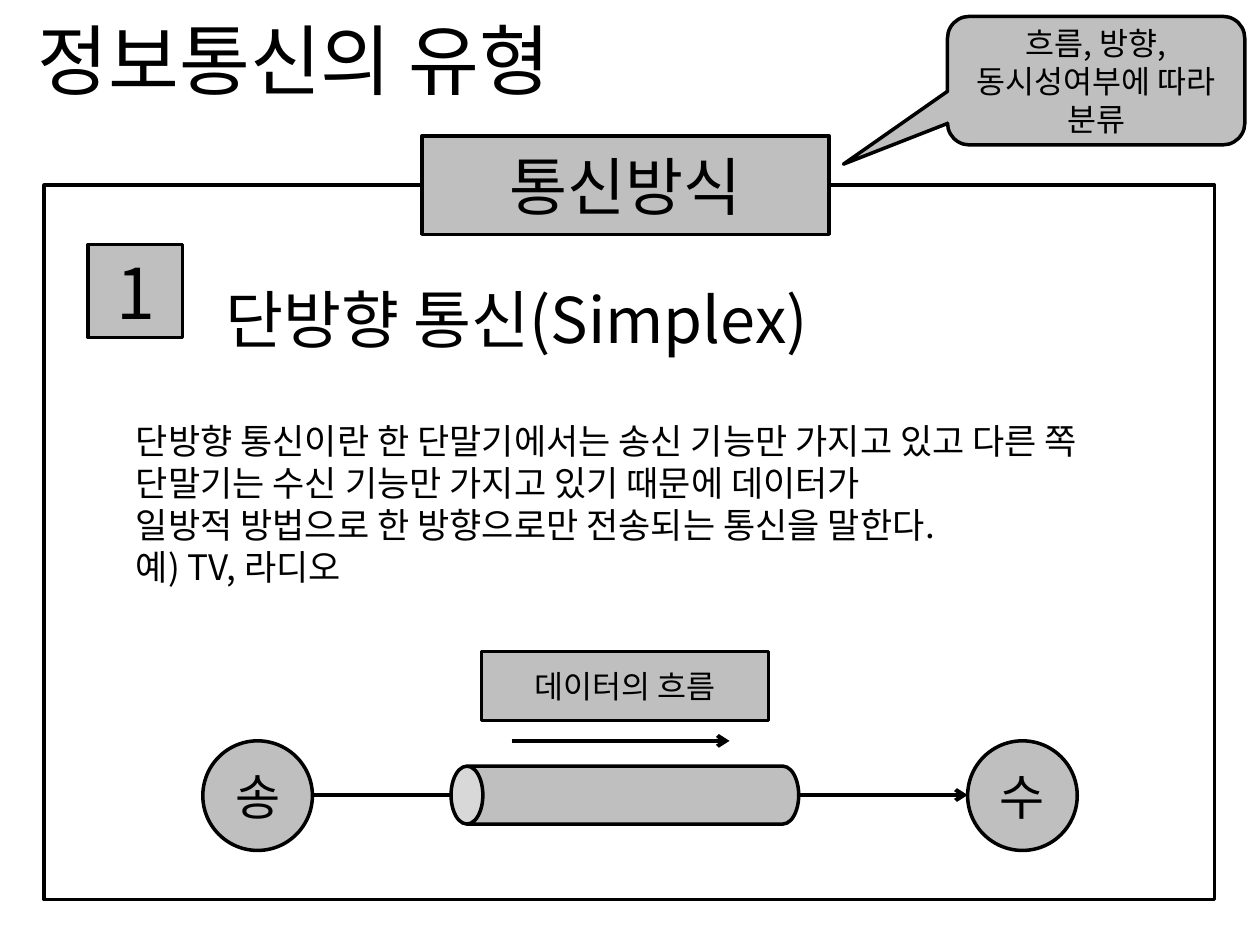
"""Build a slide on simplex communication with a data-flow diagram."""
from typing import NamedTuple

from lxml.etree import SubElement
from pptx import Presentation
from pptx.dml.color import RGBColor
from pptx.enum.shapes import MSO_CONNECTOR, MSO_SHAPE
from pptx.enum.text import MSO_ANCHOR, PP_ALIGN
from pptx.oxml.ns import qn
from pptx.util import Pt

SCALE = 9144
FONT = "Noto Sans CJK KR"
BLACK = RGBColor(0x00, 0x00, 0x00)
GRAY = RGBColor(0xBF, 0xBF, 0xBF)
RECT = MSO_SHAPE.RECTANGLE
OVAL = MSO_SHAPE.OVAL
CALL = MSO_SHAPE.ROUNDED_RECTANGULAR_CALLOUT
CAN = MSO_SHAPE.CAN
LINE = MSO_CONNECTOR.STRAIGHT
LEFT, MID = PP_ALIGN.LEFT, PP_ALIGN.CENTER
TOP, CORE = MSO_ANCHOR.TOP, MSO_ANCHOR.MIDDLE


class Box(NamedTuple):
    x: int
    y: int
    w: int
    h: int


class Form(NamedTuple):
    kind: int
    box: Box
    text: str = ""
    size: int = 18
    fill: RGBColor | None = GRAY
    turn: int = 0
    adj: tuple[float, ...] = ()


class Note(NamedTuple):
    box: Box
    text: str
    size: int


class Link(NamedTuple):
    start: int
    end: int
    y: int
    arrow: bool


NODE, NODE_Y = 87, 588
AXIS = NODE_Y + NODE // 2
SEND_X, TAKE_X = 161, 768

FORMS = (
    Form(RECT, Box(70, 194, 75, 74), "1", 40),
    Form(RECT, Box(35, 147, 929, 567), fill=None),
    Form(RECT, Box(382, 517, 228, 55), "데이터의 흐름"),
    Form(RECT, Box(335, 108, 323, 78), "통신방식", 36),
    Form(OVAL, Box(SEND_X, NODE_Y, NODE, NODE), "송", 28),
    Form(OVAL, Box(TAKE_X, NODE_Y, NODE, NODE), "수", 28),
    Form(CALL, Box(752, 13, 236, 102), "흐름, 방향,\n동시성여부에 따라 분류",
         adj=(-0.85, 0.65, 0.17)),
    Form(CAN, Box(473, 493, 46, 276), turn=270, adj=(0.55,)),
)
NOTES = (
    Note(Box(20, 5, 567, 84), "정보통신의 유형", 44),
    Note(Box(169, 218, 571, 71), "단방향 통신(Simplex)", 36),
    Note(Box(98, 328, 825, 145),
         "단방향 통신이란 한 단말기에서는 송신 기능만 가지고 있고 다른 쪽 "
         "단말기는 수신 기능만 가지고 있기 때문에 데이터가\n"
         "일방적 방법으로 한 방향으로만 전송되는 통신을 말한다.\n"
         "예) TV, 라디오", 20),
)
LINKS = (
    Link(634, TAKE_X, AXIS, True),
    Link(SEND_X + NODE, 358, AXIS, False),
    Link(406, 579, NODE_Y, True),
)


def emu(*vals: int) -> list[int]:
    """Turn px into EMU."""
    return [val * SCALE for val in vals]


def write(frame, text: str, *, size: int, align=LEFT, anchor=TOP) -> None:
    """Fill a text frame, one paragraph per line."""
    frame.word_wrap = True
    frame.vertical_anchor = anchor
    for i, line in enumerate(text.split("\n")):
        para = frame.add_paragraph() if i else frame.paragraphs[0]
        para.alignment = align
        run = para.add_run()
        run.text = line
        font = run.font
        font.size, font.name = Pt(size), FONT
        font.color.rgb = BLACK
        SubElement(font._element, qn("a:ea"), typeface=FONT)


def draw_form(slide, form: Form) -> None:
    """Draw an outlined shape with its label."""
    shape = slide.shapes.add_shape(form.kind, *emu(*form.box))
    shape.shadow.inherit = False
    shape.rotation = form.turn
    for i, val in enumerate(form.adj):
        shape.adjustments[i] = val
    if form.fill is None:
        shape.fill.background()
    else:
        shape.fill.solid()
        shape.fill.fore_color.rgb = form.fill
    shape.line.color.rgb = BLACK
    shape.line.width = Pt(2)
    if form.text:
        write(shape.text_frame, form.text, size=form.size,
              align=MID, anchor=CORE)


def draw_note(slide, note: Note) -> None:
    """Draw a plain text box."""
    box = slide.shapes.add_textbox(*emu(*note.box))
    write(box.text_frame, note.text, size=note.size)


def draw_link(slide, link: Link) -> None:
    """Draw a level line, with an arrowhead if asked."""
    line = slide.shapes.add_connector(
        LINE, *emu(link.start, link.y, link.end, link.y))
    line.line.color.rgb = BLACK
    line.line.width = Pt(2.25)
    if link.arrow:
        SubElement(line.line._get_or_add_ln(), qn("a:tailEnd"), type="arrow")
    SubElement(line._element.spPr, qn("a:effectLst"))


def main() -> None:
    """Build and save the slide."""
    deck = Presentation()
    deck.slide_width, deck.slide_height = emu(1000, 750)
    slide = deck.slides.add_slide(deck.slide_layouts[6])
    for form in FORMS:
        draw_form(slide, form)
    for note in NOTES:
        draw_note(slide, note)
    for link in LINKS:
        draw_link(slide, link)
    deck.save("out.pptx")


if __name__ == "__main__":
    main()
